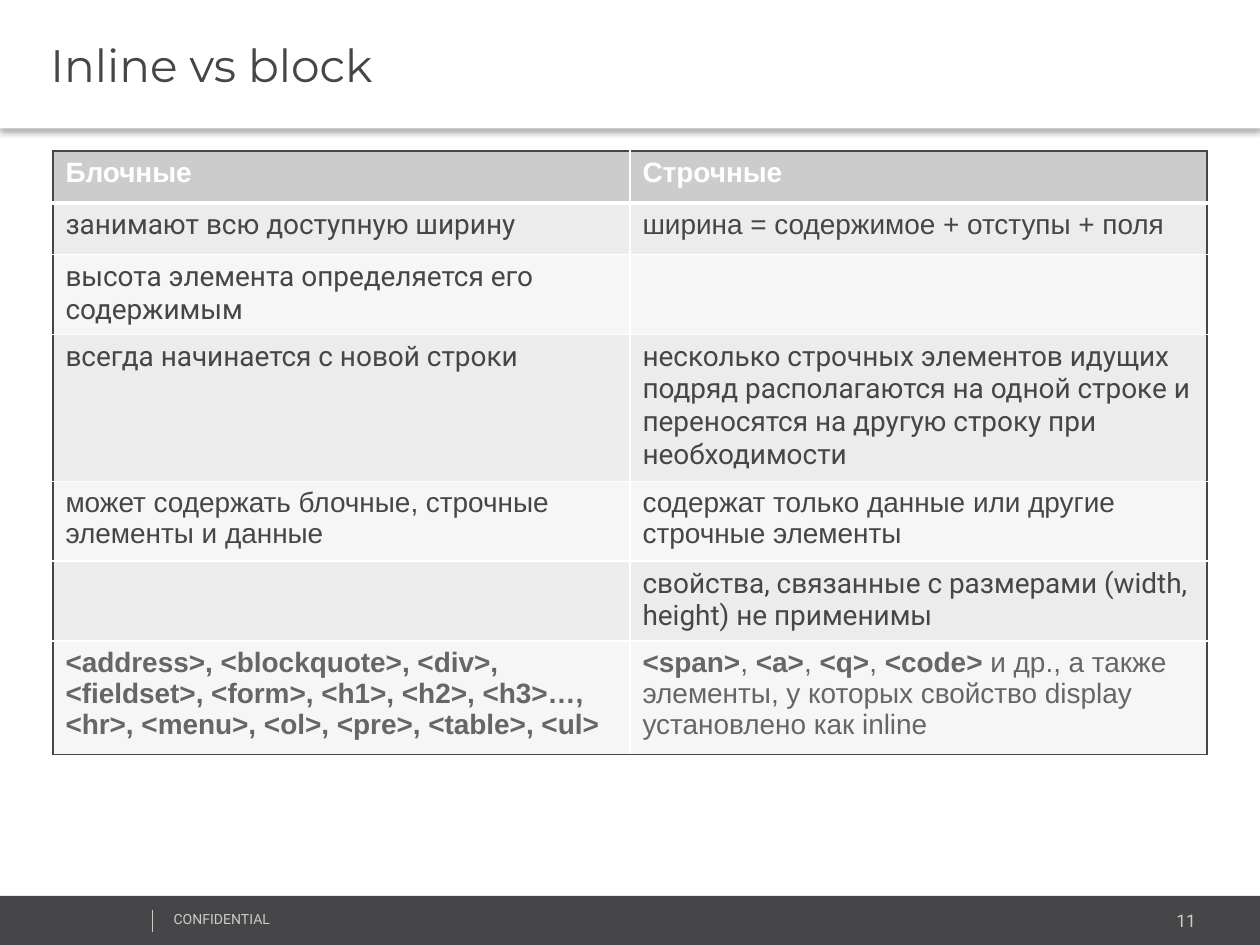
from lxml import etree
from pptx import Presentation
from pptx.dml.color import RGBColor
from pptx.enum.shapes import MSO_CONNECTOR, MSO_SHAPE
from pptx.enum.text import MSO_ANCHOR, MSO_AUTO_SIZE, PP_ALIGN
from pptx.oxml.ns import qn
from pptx.util import Inches, Pt

LEFT, RIGHT = PP_ALIGN.LEFT, PP_ALIGN.RIGHT
MIDDLE = MSO_ANCHOR.MIDDLE
NO_FIT = MSO_AUTO_SIZE.NONE
RECT = MSO_SHAPE.RECTANGLE
STRAIGHT = MSO_CONNECTOR.STRAIGHT

COLORS = {
    "dark": "464547", "grey": "666666", "light": "CCCCCC",
    "odd": "ECECEC", "even": "F6F6F6", "white": "FFFFFF", "black": "000000",
}
RGB = {name: RGBColor.from_string(code) for name, code in COLORS.items()}


def write(frame, text, font="Roboto", size=16, color="dark", align=LEFT):
    """Fill a frame with one paragraph; parts between asterisks are bold."""
    frame.word_wrap = True
    para = frame.paragraphs[0]
    para.alignment = align
    for i, part in enumerate(text.split("*")):
        if part:
            run = para.add_run()
            run.text = part
            run.font.name = font
            run.font.size = Pt(size)
            run.font.bold = i % 2 == 1
            run.font.color.rgb = RGB[color]


def border(cell, side, color, width):
    """Draw one side (L, R, T or B) of a table cell."""
    props = cell._tc.get_or_add_tcPr()
    line = etree.SubElement(props, qn(f"a:ln{side}"), w=str(Pt(width)))
    fill = etree.SubElement(line, qn("a:solidFill"))
    etree.SubElement(fill, qn("a:srgbClr"), val=COLORS[color])


prs = Presentation()
prs.slide_width, prs.slide_height = Inches(10), Inches(7.5)
slide = prs.slides.add_slide(prs.slide_layouts[5])
shapes = slide.shapes

# Footer bar
bar = shapes.add_shape(RECT, 0, Inches(7.11), Inches(10), Inches(0.4))
bar.shadow.inherit = False
bar.fill.solid()
bar.fill.fore_color.rgb = RGB["dark"]
bar.line.fill.background()

# Footer texts: text, left, top, width, height, size, alignment
for text, x, y, w, h, size, align in (
    ("11", 7.96, 7.17, 1.63, 0.27, 10, RIGHT),
    ("CONFIDENTIAL", 1.28, 7.18, 2.53, 0.24, 8, LEFT),
):
    box = shapes.add_textbox(Inches(x), Inches(y), Inches(w), Inches(h))
    write(box.text_frame, text, size=size, color="light", align=align)

# Footer divider
rule = shapes.add_connector(
    STRAIGHT, Inches(1.21), Inches(7.22), Inches(1.21), Inches(7.4))
rule.line.color.rgb = RGB["light"]
rule.line.width = Pt(0.75)
etree.SubElement(rule._element.spPr, qn("a:effectLst"))

# Title band with a soft shadow
title = shapes.title
title.left, title.top = 0, 0
title.width, title.height = Inches(10), Inches(1.02)
title.fill.solid()
title.fill.fore_color.rgb = RGB["white"]
title.line.fill.background()
effects = etree.SubElement(title._element.spPr, qn("a:effectLst"))
shade = etree.SubElement(
    effects, qn("a:outerShdw"), blurRad=str(Pt(3.1)), dist=str(Pt(2)),
    dir="5400000", algn="t", rotWithShape="0")
tint = etree.SubElement(shade, qn("a:srgbClr"), val=COLORS["black"])
etree.SubElement(tint, qn("a:alpha"), val="30000")
frame = title.text_frame
frame.auto_size = NO_FIT
frame.vertical_anchor = MIDDLE
frame.margin_left = Inches(0.4)
write(frame, "Inline vs block", font="Montserrat", size=26)

# Comparison table: each cell is text and font
ROWS = [
    (("*Блочные*", "Arial"), ("*Строчные*", "Arial")),
    (("занимают всю доступную ширину", "Roboto"),
     ("ширина = содержимое + отступы + поля", "Arial")),
    (("высота элемента определяется его содержимым", "Roboto"),
     ("", "Roboto")),
    (("всегда начинается с новой строки", "Roboto"),
     ("несколько строчных элементов идущих подряд располагаются на одной "
      "строке и переносятся на другую строку при необходимости", "Roboto")),
    (("может содержать блочные, строчные элементы и данные", "Arial"),
     ("содержат только данные или другие строчные элементы", "Arial")),
    (("", "Roboto"),
     ("cвойства, связанные с размерами (width, height) не применимы",
      "Roboto")),
    (("*<address>, <blockquote>, <div>, <fieldset>, <form>, <h1>, <h2>, "
      "<h3>…, <hr>, <menu>, <ol>, <pre>, <table>, <ul>*", "Arial"),
     ("*<span>*, *<a>*, *<q>*, *<code>* и др., а также элементы, "
      "у которых свойство display установлено как inline", "Arial")),
]
last = len(ROWS) - 1
table = shapes.add_table(
    len(ROWS), 2, Inches(0.42), Inches(1.2),
    Inches(9.16), Inches(0.41 * len(ROWS))).table

for r, row in enumerate(ROWS):
    table.rows[r].height = Inches(0.41)
    for c, (text, font) in enumerate(row):
        cell = table.cell(r, c)
        # Dark outer frame, white inner lines, thick line below the head
        border(cell, "L", "dark" if c == 0 else "white", 1)
        border(cell, "R", "dark" if c == 1 else "white", 1)
        border(cell, "T", "dark" if r == 0 else "white", 3 if r == 1 else 1)
        border(cell, "B", "dark" if r == last else "white", 3 if r == 0 else 1)
        cell.fill.solid()
        band = "light" if r == 0 else "odd" if r % 2 else "even"
        cell.fill.fore_color.rgb = RGB[band]
        ink = "white" if r == 0 else "grey" if r == last else "dark"
        write(cell.text_frame, text, font=font, color=ink)

prs.save("out.pptx")
